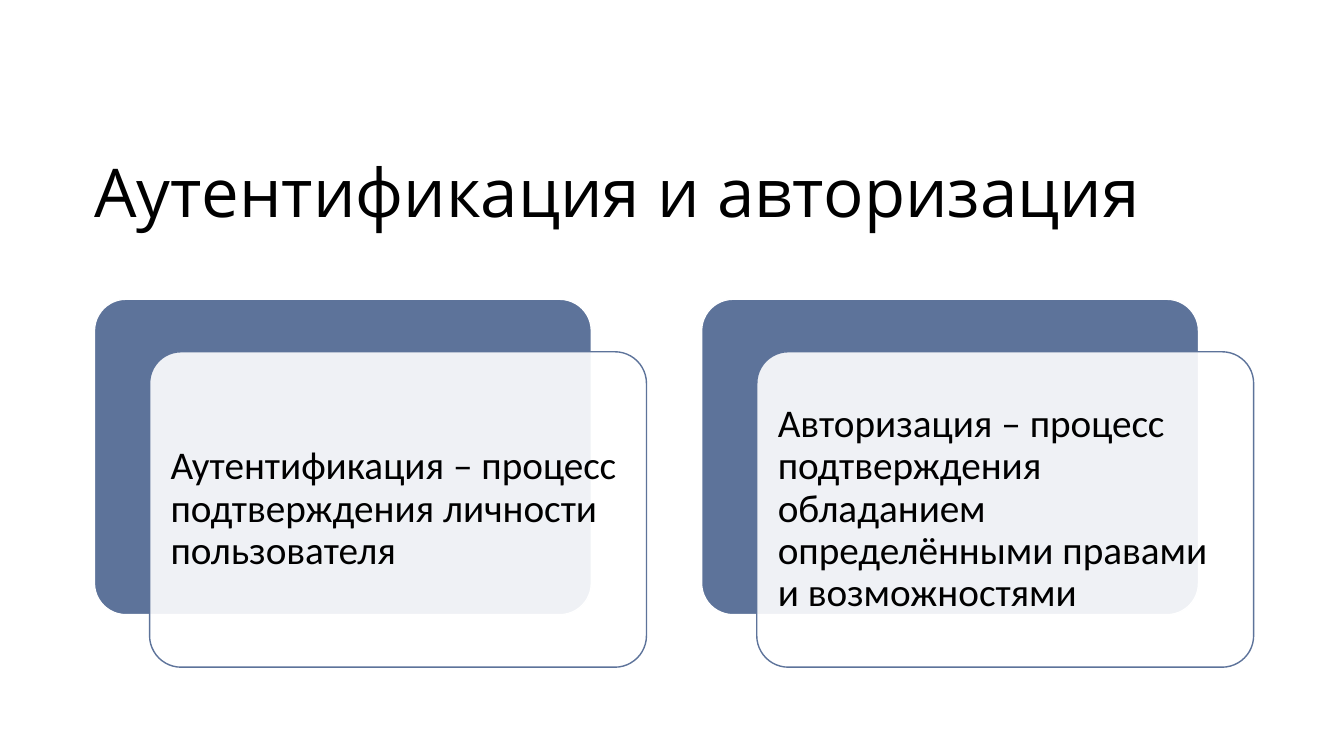
import pptx
import pptx.util
import pptx.dml.color
import pptx.enum.shapes
import pptx.enum.text
import pptx.oxml

Pt = pptx.util.Pt
DARK, WHITE, BLACK = "5D739A", "FFFFFF", "000000"
TITLE = "Аутентификация и авторизация"
CARDS = [
    "Аутентификация – процесс подтверждения личности пользователя",
    "Авторизация – процесс подтверждения обладанием определёнными правами и возможностями",
]


def rgb(value):
    return pptx.dml.color.RGBColor.from_string(value)


def add_text(slide, box, text, font, size, inset=0):
    sp = slide.shapes.add_textbox(*map(Pt, box))
    tf = sp.text_frame
    tf.word_wrap = True
    tf.vertical_anchor = pptx.enum.text.MSO_ANCHOR.MIDDLE
    tf.margin_left = tf.margin_right = Pt(inset)
    tf.margin_top = tf.margin_bottom = Pt(inset)
    p = tf.paragraphs[0]
    p.text = text
    p.line_spacing = 0.9
    p.font.name = font
    p.font.size = Pt(size)
    p.font.color.rgb = rgb(BLACK)


def add_panel(slide, box, fill, line, opacity=100):
    kind = pptx.enum.shapes.MSO_SHAPE.ROUNDED_RECTANGLE
    sp = slide.shapes.add_shape(kind, *map(Pt, box))
    sp.adjustments[0] = 0.1
    sp.shadow.inherit = False
    sp.fill.solid()
    sp.fill.fore_color.rgb = rgb(fill)
    sp.line.color.rgb = rgb(line)
    sp.line.width = Pt(1)
    if opacity < 100:
        color = sp.fill._xPr.find(".//" + pptx.oxml.ns.qn("a:srgbClr"))
        alpha = pptx.oxml.xmlchemy.OxmlElement("a:alpha")
        alpha.set("val", str(opacity * 1000))
        color.append(alpha)


def add_card(slide, box, text):
    x, y, w, h = box
    dx, dy, pad = 39.4, 37.5, 6.6
    back_w, back_h = w - dx, h - dy
    add_panel(slide, (x, y, back_w, back_h), DARK, WHITE)
    add_panel(slide, (x + dx, y + dy, back_w, back_h), WHITE, DARK, 90)
    text_box = (x + dx + pad, y + dy + pad, back_w - 2 * pad, back_h - 2 * pad)
    add_text(slide, text_box, text, "Calibri", 28, 8.4)


def add_cards(slide, box, texts):
    x, y, w, h = box
    gap = 39.4
    card_w = (w - gap * (len(texts) - 1)) / len(texts)
    for i, text in enumerate(texts):
        add_card(slide, (x + i * (card_w + gap), y, card_w, h), text)


def main():
    prs = pptx.Presentation()
    prs.slide_width, prs.slide_height = Pt(960), Pt(540)
    s = prs.slides.add_slide(prs.slide_layouts[6])
    add_text(s, (67.5, 87.8, 828, 104.4), TITLE, "Open Sans", 48)
    add_cards(s, (67.5, 213.8, 828, 262.8), CARDS)
    prs.save("out.pptx")


if __name__ == "__main__":
    main()
